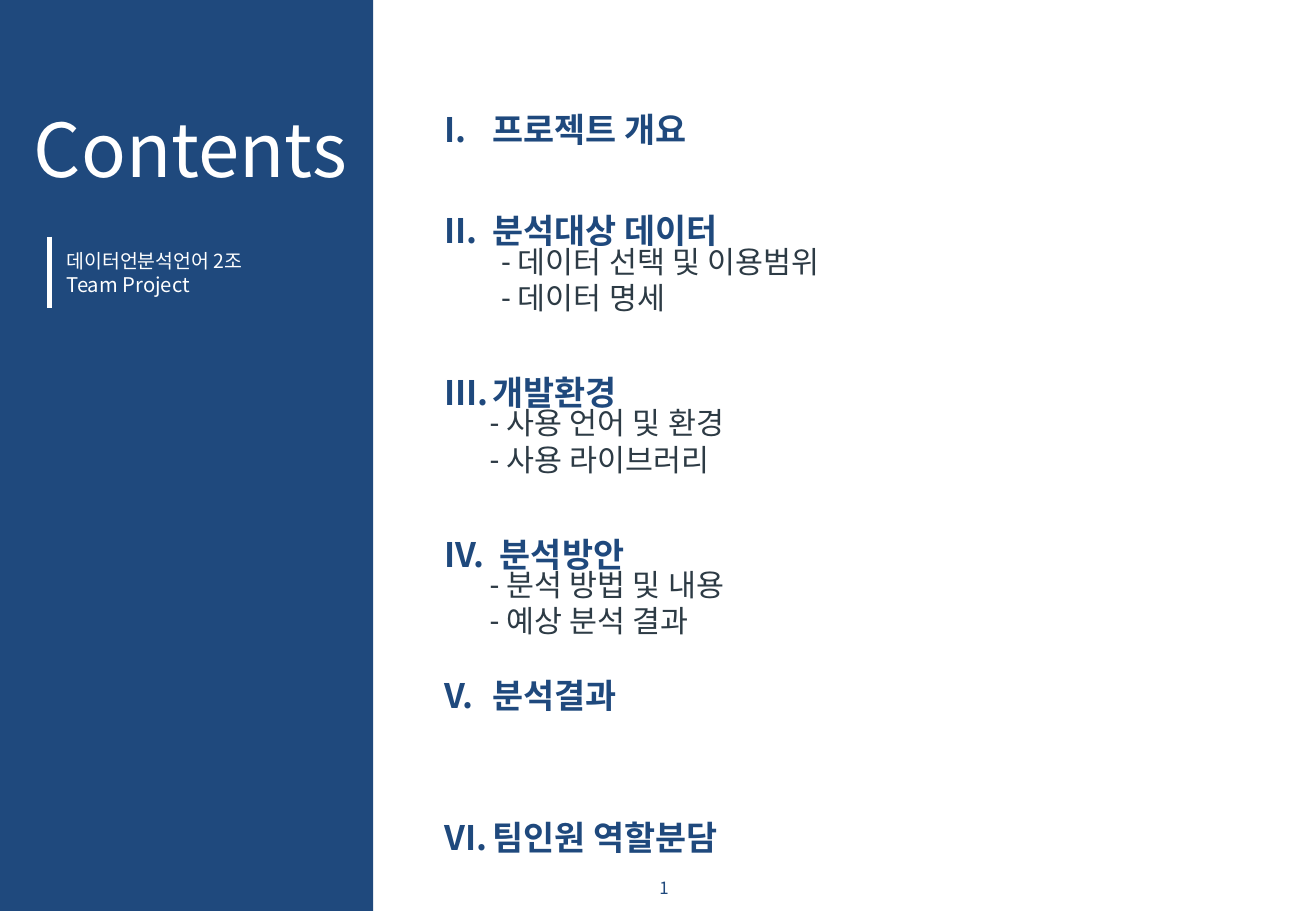
"""Build the contents page of a data analysis team project."""
import pptx
import pptx.dml.color
import pptx.enum.shapes
import pptx.enum.text
import pptx.oxml
import pptx.oxml.ns
import pptx.util
from pptx.util import Cm, Pt

NAVY = pptx.dml.color.RGBColor(0x1F, 0x49, 0x7D)
SLATE = pptx.dml.color.RGBColor(0x2D, 0x3B, 0x45)
WHITE = pptx.dml.color.RGBColor(0xFF, 0xFF, 0xFF)
SANS = "Noto Sans CJK KR"
ROBOTO = "Roboto"

CHAPTERS = [
    ("프로젝트 개요", 0),
    ("분석대상 데이터", 36),
    ("개발환경", 72),
    (" 분석방안", 72),
    ("분석결과", 60),
    ("팀인원 역할분담", 60),
]
TOPICS = [
    (10.24, ["- 데이터 선택 및 이용범위", "- 데이터 명세"]),
    (10.0, ["- 사용 언어 및 환경", "- 사용 라이브러리"]),
    (10.0, ["- 분석 방법 및 내용", "- 예상 분석 결과"]),
]
TOPICS_TOP = 4.95
TOPICS_STEP = 3.38


def add_element(parent, tag, **attributes):
    """Append a drawing element to a parent and return it."""
    element = pptx.oxml.ns.qn(tag)
    child = parent.makeelement(element, attributes)
    parent.append(child)
    return child


def style(para, size, color, name=SANS, bold=False):
    """Set one font on a whole paragraph, for Latin and Korean text."""
    font = para.font
    font.size = Pt(size)
    font.bold = bold
    font.color.rgb = color
    font.name = name
    add_element(para._p.pPr.defRPr, "a:ea", typeface=name)


def add_box(page, left, top, width, height):
    """Add a wrapping text box and return its text frame."""
    box = page.shapes.add_textbox(Cm(left), Cm(top), Cm(width), Cm(height))
    box.text_frame.word_wrap = True
    return box.text_frame


def add_paragraphs(frame, texts):
    """Fill a text frame with one paragraph per text."""
    frame.text = "\n".join(texts)
    return frame.paragraphs


def add_sidebar(page):
    """Draw the navy panel with the title and the team name."""
    panel = page.shapes.add_shape(
        pptx.enum.shapes.MSO_SHAPE.RECTANGLE, 0, 0, Cm(7.8), Cm(19.05))
    panel.shadow.inherit = False
    panel.fill.solid()
    panel.fill.fore_color.rgb = NAVY
    panel.line.fill.background()

    title, = add_paragraphs(add_box(page, 0.46, 2.03, 7.29, 2.13), ["Contents"])
    style(title, 44, WHITE)

    rule = page.shapes.add_connector(
        pptx.enum.shapes.MSO_CONNECTOR.STRAIGHT,
        Cm(1.04), Cm(4.95), Cm(1.04), Cm(6.45))
    rule.line.color.rgb = WHITE
    rule.line.width = Pt(3)
    add_element(rule._element.spPr, "a:effectLst")

    team, project = add_paragraphs(
        add_box(page, 1.14, 5.03, 6.27, 1.35),
        ["데이터언분석언어 2조", "Team Project"])
    team.line_spacing = 1.1
    style(team, 11.5, WHITE)
    style(project, 12, WHITE)


def add_chapters(page):
    """Write the chapter headings as a list with Roman numerals."""
    frame = add_box(page, 9.04, 2.14, 16.26, 16.2)
    paras = add_paragraphs(frame, [text for text, gap in CHAPTERS])
    for para, (text, gap) in zip(paras, CHAPTERS):
        para.space_before = Pt(gap)
        properties = para._p.get_or_add_pPr()
        properties.set("marL", str(Cm(1)))
        properties.set("indent", str(-Cm(1)))
        add_element(properties, "a:buFont", typeface="+mj-lt")
        add_element(properties, "a:buAutoNum", type="romanUcPeriod")
        style(para, 20, NAVY, bold=True)


def add_topics(page):
    """Write the topics below the chapters that have them."""
    for index, (left, texts) in enumerate(TOPICS):
        frame = add_box(page, left, TOPICS_TOP + index * TOPICS_STEP, 13.89, 1.8)
        for para in add_paragraphs(frame, texts):
            style(para, 18, SLATE, ROBOTO)


def add_page_number(page):
    """Add the page number field at the foot of the page."""
    frame = add_box(page, 13.08, 18.16, 1.4, 0.79)
    frame.margin_left = frame.margin_top = Cm(0.2)
    frame.margin_right = frame.margin_bottom = 0
    para = frame.paragraphs[0]
    para.alignment = pptx.enum.text.PP_ALIGN.CENTER
    style(para, 10, NAVY)
    field = add_element(
        para._p, "a:fld", type="slidenum",
        id="{B6F15528-21DE-4FAA-801E-634DDDAF4B2B}")
    add_element(field, "a:rPr", lang="ko-KR")
    add_element(field, "a:t").text = "1"


def main():
    """Build and save the deck."""
    deck = pptx.Presentation()
    deck.slide_width = Cm(27.51)
    deck.slide_height = Cm(19.05)
    page = deck.slides.add_slide(deck.slide_layouts[6])
    add_page_number(page)
    add_chapters(page)
    add_sidebar(page)
    add_topics(page)
    deck.save("out.pptx")


if __name__ == "__main__":
    main()
